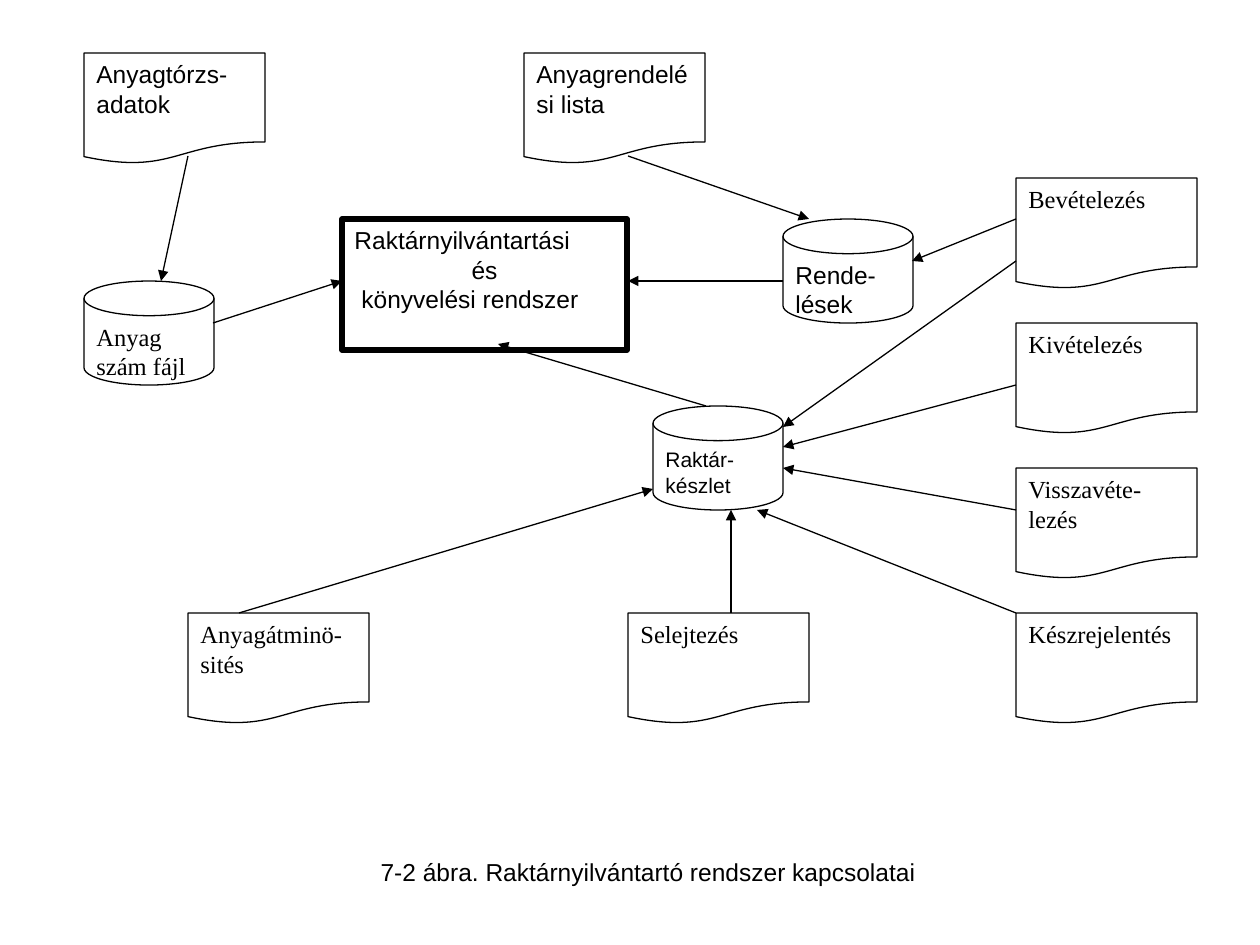
from lxml.etree import SubElement
from pptx import Presentation
from pptx.dml.color import RGBColor
from pptx.enum.shapes import MSO_CONNECTOR as Connector, MSO_SHAPE as Shape
from pptx.enum.text import MSO_ANCHOR as Anchor, MSO_AUTO_SIZE as AutoSize, PP_ALIGN as Align
from pptx.oxml.ns import qn
from pptx.util import Emu, Pt

BLACK = RGBColor(0x00, 0x00, 0x00)
WHITE = RGBColor(0xFF, 0xFF, 0xFF)
SANS, SERIF = "Arial", "Times New Roman"
EMU_PER_PX = 914400 / 126
DOCUMENT_SIZE = (181, 111)
DISK_SIZE = (130, 104)
RIGHT_LEFT, RIGHT_TOP, RIGHT_STEP = 1016, 178, 145
BOTTOM_TOP = RIGHT_TOP + 3 * RIGHT_STEP

DOCUMENTS = [
    ("Anyagtórzs-adatok", 84, 53, SANS),
    ("Anyagrendelési lista", 524, 53, SANS),
    ("Anyagátminö-sités", 188, BOTTOM_TOP, SERIF),
    ("Selejtezés", 628, BOTTOM_TOP, SERIF),
]
RIGHT_DOCUMENTS = ["Bevételezés", "Kivételezés", "Visszavéte-lezés", "Készrejelentés"]
DISKS = [
    ("Anyag szám fájl", 84, 281, SERIF, 14),
    ("Raktár-készlet", 653, 406, SANS, 12),
    ("Rende-lések", 783, 219, SANS, 14),
]
ARROWS = [
    (213, 323, 342, 281),
    (188, 156, 161, 281),
    (628, 156, 809, 219),
    (783, 281, 628, 281),
    (1016, 219, 912, 261),
    (731, 613, 731, 510),
    (239, 613, 653, 489),
    (1016, 613, 757, 510),
    (1016, 510, 783, 468),
    (1016, 385, 783, 447),
    (1016, 261, 783, 427),
    (706, 406, 498, 344),
]


def px(*lengths):
    """Turn pixel lengths into EMU."""
    return [Emu(round(length * EMU_PER_PX)) for length in lengths]


def write_text(box, lines, font, size):
    """Fill a box with top-anchored lines of (text, alignment, indent)."""
    frame = box.text_frame
    frame_format = {"word_wrap": True, "auto_size": AutoSize.NONE, "vertical_anchor": Anchor.TOP}
    for name, value in frame_format.items():
        setattr(frame, name, value)
    for index, (text, alignment, indent) in enumerate(lines):
        para = frame.add_paragraph() if index else frame.paragraphs[0]
        para.alignment = alignment
        if indent:
            para._p.get_or_add_pPr().set("marL", str(px(indent)[0]))
        span = para.add_run()
        span.text = text
        for name, value in {"name": font, "size": Pt(size), "bold": False}.items():
            setattr(span.font, name, value)
        span.font.color.rgb = BLACK


def add_node(page, kind, place, lines, font=SANS, size=14, weight=0.75):
    """Add a white flowchart shape with a black outline."""
    node = page.shapes.add_shape(kind, *px(*place))
    node.shadow.inherit = False
    node.fill.solid()
    node.fill.fore_color.rgb = WHITE
    node.line.color.rgb = BLACK
    node.line.width = Pt(weight)
    write_text(node, lines, font, size)


def add_arrow(page, ends):
    """Add a thin black arrow pointing at its second end."""
    arrow = page.shapes.add_connector(Connector.STRAIGHT, *px(*ends))
    arrow.line.color.rgb = BLACK
    arrow.line.width = Pt(0.75)
    SubElement(arrow.line._get_or_add_ln(), qn("a:tailEnd"), type="triangle")
    SubElement(arrow._element.spPr, qn("a:effectLst"))


def add_caption(page, place, text):
    """Move the title placeholder below the chart as its caption."""
    caption = page.shapes.title
    caption.left, caption.top, caption.width, caption.height = px(*place)
    write_text(caption, [(text, Align.LEFT, 0)], SANS, 14)


def main():
    """Build the warehouse system flowchart."""
    deck = Presentation()
    deck.slide_width, deck.slide_height = px(1260, 945)
    page = deck.slides.add_slide(deck.slide_layouts[5])
    right_column = [
        (text, RIGHT_LEFT, RIGHT_TOP + row * RIGHT_STEP, SERIF)
        for row, text in enumerate(RIGHT_DOCUMENTS)
    ]
    for text, left, top, font in DOCUMENTS + right_column:
        add_node(page, Shape.FLOWCHART_DOCUMENT, (left, top, *DOCUMENT_SIZE),
                 [(text, Align.LEFT, 0)], font)
    for text, left, top, font, size in DISKS:
        add_node(page, Shape.FLOWCHART_MAGNETIC_DISK, (left, top, *DISK_SIZE),
                 [(text, Align.LEFT, 0)], font, size)
    system_lines = [
        ("Raktárnyilvántartási", Align.LEFT, 0),
        ("és", Align.CENTER, 0),
        ("könyvelési rendszer", Align.LEFT, 7),
    ]
    add_node(page, Shape.FLOWCHART_PROCESS, (342, 219, 285, 131), system_lines, weight=3)
    for ends in ARROWS:
        add_arrow(page, ends)
    add_caption(page, (368, 851, 630, 43), "7-2 ábra. Raktárnyilvántartó rendszer kapcsolatai")
    deck.save("out.pptx")


if __name__ == "__main__":
    main()
